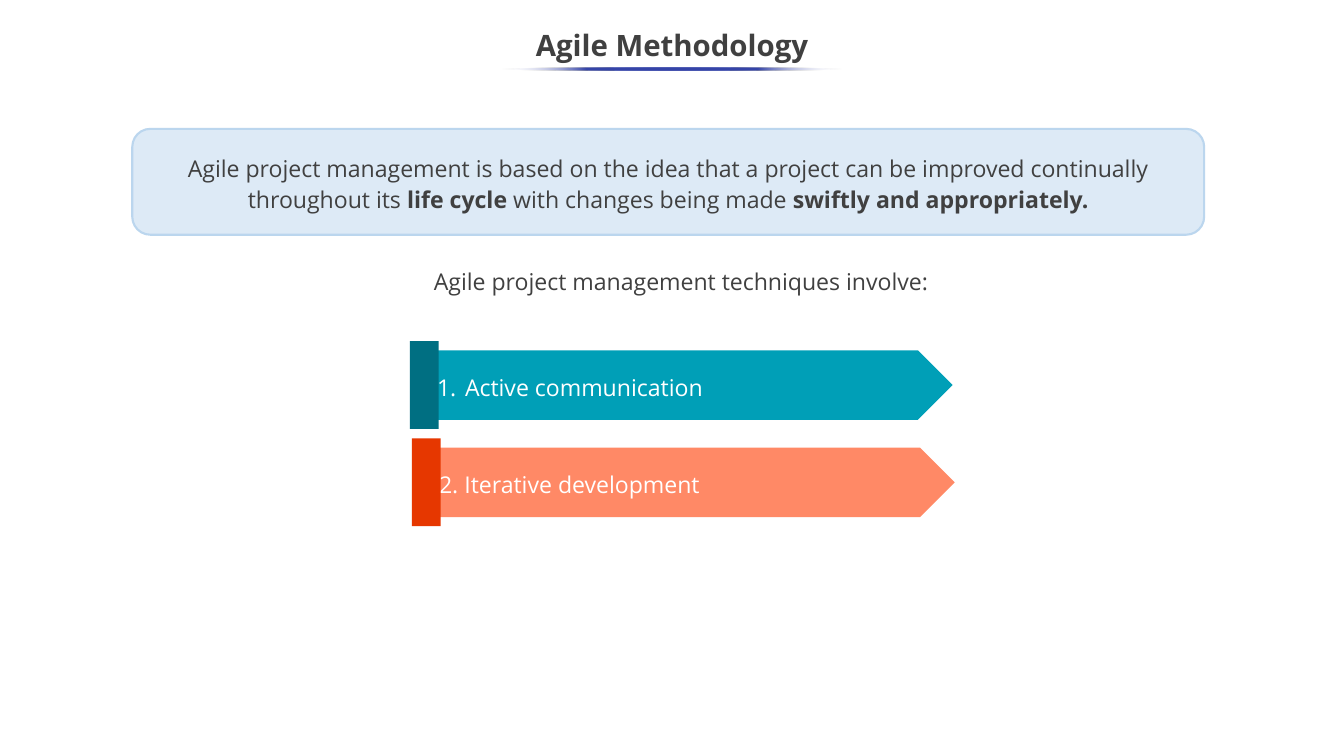
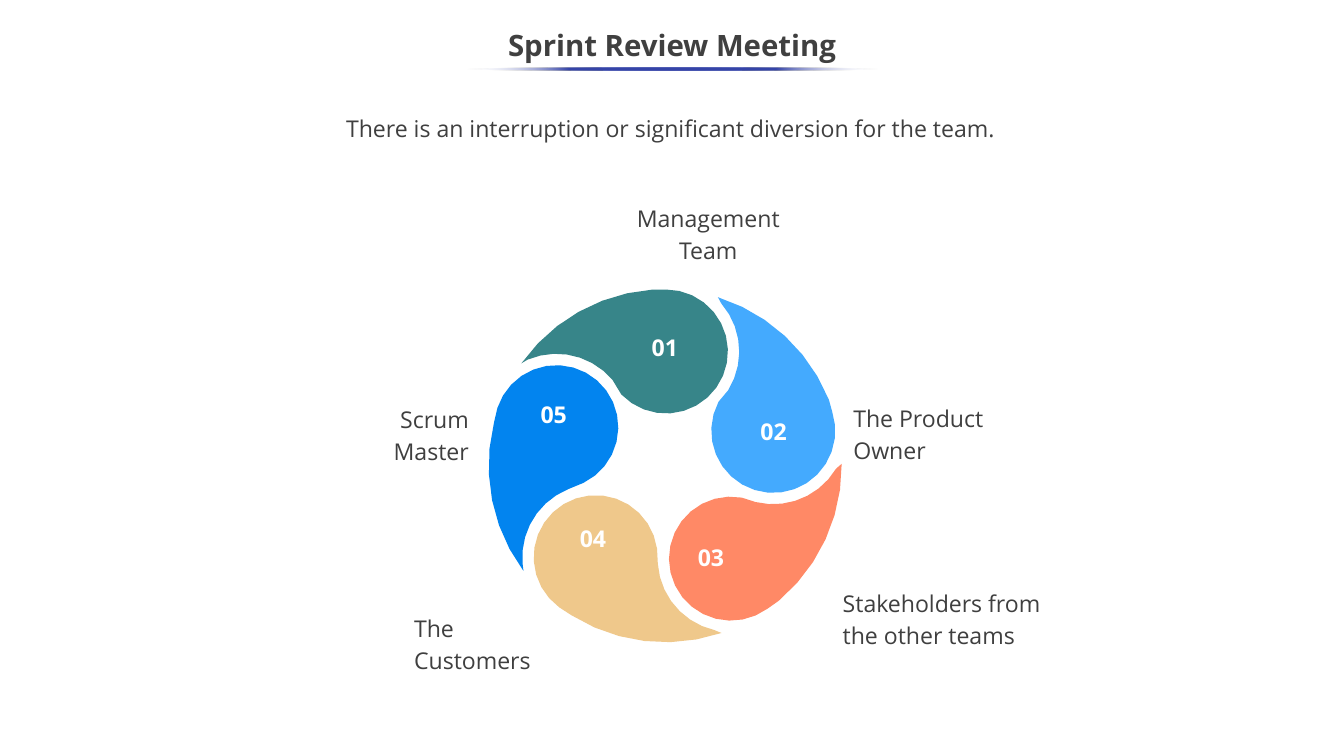
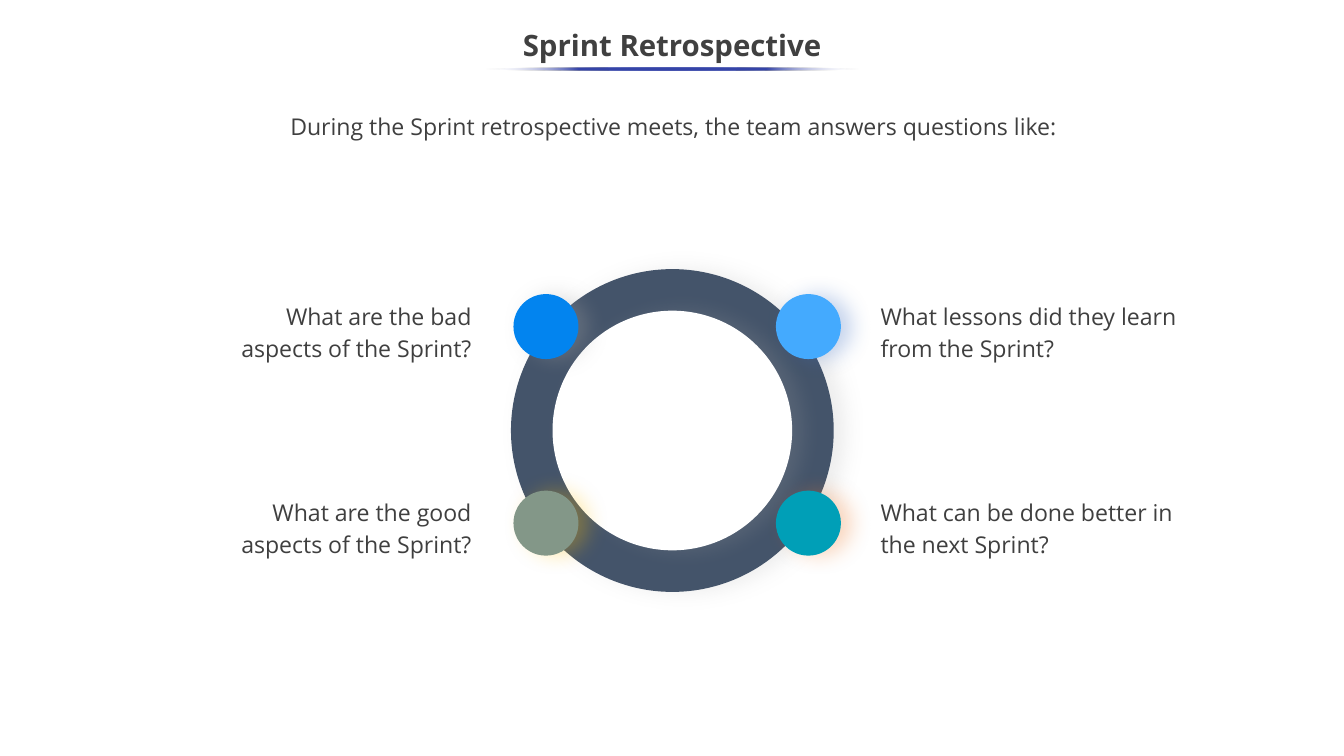
import math

import lxml.etree
import pptx
import pptx.dml.color
import pptx.enum.shapes
import pptx.enum.text
import pptx.oxml.ns
import pptx.util

SHAPE = pptx.enum.shapes.MSO_SHAPE
ALIGN = pptx.enum.text.PP_ALIGN
ANCHOR = pptx.enum.text.MSO_ANCHOR
FONT = "Open Sans"
COLS, ROWS = 177.8, 100  # square cells, a tenth of an inch wide
CELL = pptx.util.Inches(0.1)
COLORS = {
    "ink": "404040", "soft": "3F3F3F", "white": "FFFFFF", "rule": "3645A9",
    "pale": "DDEAF6", "edge": "BBD6EE",
    "teal": "009FB7", "pine": "006F82", "coral": "FF8966", "red": "E63700",
    "green": "378589", "sky": "44AAFE", "sand": "EFC88B", "blue": "0284EF",
    "slate": "44546A", "sage": "839788",
    "gray": "A5A5A5", "gold": "FFC000", "flame": "ED7D31", "royal": "4472C4",
}


def rgb(name):
    return pptx.dml.color.RGBColor.from_string(COLORS[name])


def cells(*nums):
    return [round(n * CELL) for n in nums]


def add(parent, tag, **attrs):
    node = lxml.etree.SubElement(parent, pptx.oxml.ns.qn(tag))
    for key, value in attrs.items():
        node.set(key, str(value))
    return node


def tint(parent, name, alpha=100):
    node = add(parent, "a:srgbClr", val=COLORS[name])
    if alpha < 100:
        add(node, "a:alpha", val=alpha * 1000)


def write(frame, text, size=22, color="soft", bold=False, align=ALIGN.LEFT,
          anchor=ANCHOR.TOP, space=1.15, left=0, hang=0, count=False):
    """Fill a frame; newlines split paragraphs and ** switches bold."""
    frame.word_wrap = True
    frame.vertical_anchor = anchor
    frame.margin_left = frame.margin_right = CELL
    frame.margin_top = frame.margin_bottom = CELL // 2
    for i, line in enumerate(text.split("\n")):
        para = frame.add_paragraph() if i else frame.paragraphs[0]
        para.alignment, para.line_spacing = align, space
        if left:
            props = para._p.get_or_add_pPr()
            props.set("marL", str(round(left * CELL)))
            props.set("indent", str(round(-hang * CELL)))
            if count:
                tint(add(props, "a:buClr"), color)
                add(props, "a:buFont", typeface="+mj-lt")
                add(props, "a:buAutoNum", type="arabicPeriod")
        for j, part in enumerate(line.split("**")):
            if part:
                run = para.add_run()
                run.text = part
                font = run.font
                font.name, font.size = FONT, pptx.util.Pt(size)
                font.bold = bold or j % 2 == 1
                font.color.rgb = rgb(color)


class Deck:
    def __init__(self):
        self.file = pptx.Presentation()
        self.file.slide_width, self.file.slide_height = cells(COLS, ROWS)
        self.slide = None

    def page(self, title, width):
        """Start a slide with a title and a fading rule beneath it."""
        self.slide = self.file.slides.add_slide(self.file.slide_layouts[5])
        head = self.slide.shapes.title
        head.left, head.top, head.width, head.height = cells(0, 2.5, COLS, 7.5)
        write(head.text_frame, title, size=28, color="ink", bold=True,
              space=0.9, align=ALIGN.CENTER, anchor=ANCHOR.MIDDLE)
        rule = self.shape(SHAPE.OVAL, 88.95 - width / 2, 8.9, width, 0.4)
        rule.fill.gradient()
        rule.fill.gradient_angle = 0
        stops = rule._element.spPr.find(".//" + pptx.oxml.ns.qn("a:gsLst"))
        for stop in list(stops):
            stops.remove(stop)
        for pos in range(0, 101, 25):
            stop = add(stops, "a:gs", pos=pos * 1000)
            if pos in (0, 100):
                tint(stop, "white", 0)
            else:
                tint(stop, "rule")

    def paint(self, item, fill, line=None):
        item.shadow.inherit = False
        if fill:
            item.fill.solid()
            item.fill.fore_color.rgb = rgb(fill)
        else:
            item.fill.background()
        if line:
            item.line.color.rgb = rgb(line)
            item.line.width = pptx.util.Pt(2)
        else:
            item.line.fill.background()
        return item

    def shape(self, kind, x, y, w, h, fill=None, line=None, adj=None):
        item = self.slide.shapes.add_shape(kind, *cells(x, y, w, h))
        if adj is not None:
            item.adjustments[0] = adj
        return self.paint(item, fill, line)

    def text(self, x, y, w, h, words, **style):
        box = self.slide.shapes.add_textbox(*cells(x, y, w, h))
        write(box.text_frame, words, **style)

    def lead(self, y, h, words):
        box = self.shape(SHAPE.ROUNDED_RECTANGLE, 14.1, y, 150, h, adj=0.12)
        write(box.text_frame, words, align=ALIGN.CENTER)

    def outline(self, points, fill):
        dots = [cells(*dot) for dot in points]
        path = self.slide.shapes.build_freeform(*dots[0])
        path.add_line_segments(dots[1:], close=True)
        self.paint(path.convert_to_shape(), fill)

    def glow(self, item, color, alpha):
        effects = item._element.spPr.find(pptx.oxml.ns.qn("a:effectLst"))
        shade = add(effects, "a:outerShdw", blurRad=pptx.util.Pt(20),
                    dist=pptx.util.Pt(10), dir=0, algn="l", rotWithShape=0)
        tint(shade, color, alpha)

    def arrow(self, x, y, fill, dark, words, **style):
        plate = self.shape(SHAPE.PENTAGON, x + 1.3, y + 1.2, 70.5, 9.2, fill)
        write(plate.text_frame, words, color="white", space=1.14,
              anchor=ANCHOR.MIDDLE, **style)
        self.shape(SHAPE.RECTANGLE, x, y, 3.8, 11.6, dark)


def arc(mid, radius, start, end, steps):
    turns = [math.radians(start + (end - start) * i / steps)
             for i in range(steps + 1)]
    return [(mid[0] + radius * math.cos(t), mid[1] + radius * math.sin(t))
            for t in turns]


def petal(mid, head, prior, turn):
    """Outer edge, round head, then a hollow around the petal before."""
    return (arc(mid, 23.35, turn + 215.4, turn + 266, 6)
            + arc(head, 8.2, turn - 90, turn + 136, 18)
            + arc(prior, 9.7, turn - 40, turn - 113, 7))


def agile(deck):
    deck.page("Agile Methodology", 45.1)
    card = deck.shape(SHAPE.ROUNDED_RECTANGLE, 17.5, 17.05, 141.8, 14,
                      "pale", "edge", 0.17)
    write(card.text_frame,
          "Agile project management is based on the idea that a project can be "
          "improved continually throughout its **life cycle **with changes "
          "being made **swiftly and appropriately.**",
          color="ink", space=1.14, align=ALIGN.CENTER, anchor=ANCHOR.MIDDLE)
    deck.text(41.5, 34.3, 97.2, 5, "Agile project management techniques involve:",
              color="ink", align=ALIGN.CENTER)
    deck.arrow(54.5, 58, "coral", "red", "2. Iterative development", left=1.3)
    deck.arrow(54.23, 45.13, "teal", "pine", "Active communication",
               left=5, hang=3.7, count=True)


def review(deck):
    deck.page("Sprint Review Meeting", 54.4)
    deck.lead(13.7, 10.5,
              "There is an interruption or significant diversion for the team. ")
    # Wheel of five petals: colour, middle of the head, corner of the number
    petals = [("green", (88.1, 46.5), (84.6, 43.1)),
              ("sky", (102.3, 57), (99, 54.2)),
              ("coral", (96.7, 73.9), (90.7, 70.9)),
              ("sand", (78.8, 73.7), (75.1, 68.3)),
              ("blue", (73.6, 56.5), (69.9, 51.9))]
    for i, (fill, head, spot) in enumerate(petals):
        prior = petals[i - 1][1]
        deck.outline(petal((88, 61.6), head, prior, 72 * i), fill)
    for i, (fill, head, spot) in enumerate(petals):
        deck.text(*spot, 6.7, 6.8, f"{i + 1:02}", color="white", bold=True,
                  align=ALIGN.CENTER)
    # Names around the wheel
    for x, y, w, words, align in [
            (81.3, 30.9, 24.8, "Management Team", ALIGN.CENTER),
            (53.8, 85.2, 22.8, "The Customers", ALIGN.LEFT),
            (50.3, 57.5, 12.7, "Scrum Master", ALIGN.RIGHT),
            (111.9, 57.4, 22.8, "The Product Owner", ALIGN.LEFT)]:
        deck.text(x, y, w, 4.5, words, align=align, anchor=ANCHOR.BOTTOM)
    panel = deck.shape(SHAPE.RECTANGLE, 110.5, 74.2, 40.9, 12.1, "white")
    write(panel.text_frame, "Stakeholders from\nthe other teams",
          anchor=ANCHOR.BOTTOM)


def retro(deck):
    deck.page("Sprint Retrospective", 49.5)
    deck.lead(13.4, 10.7, "During the Sprint retrospective meets, the team "
                          "answers questions like:")
    # Ring with a white centre
    ring = deck.shape(SHAPE.DONUT, 67.6, 35.6, 42.7, 42.7, "slate", adj=0.23)
    core = deck.shape(SHAPE.OVAL, 73.1, 41.1, 31.7, 31.7, "white")
    for item in (ring, core):
        deck.glow(item, "gray", 20)
    # Four dots with their questions
    left = (67.93, 25.75, 37.6, ALIGN.RIGHT)
    right = (102.65, 115.5, 42.8, ALIGN.LEFT)
    for side, y, fill, shade, words in [
            (left, 38.9, "blue", "gray", "What are the bad aspects of the Sprint?"),
            (right, 64.9, "teal", "flame",
             "What can be done better in the next Sprint?"),
            (left, 64.9, "sage", "gold", "What are the good aspects of the Sprint?"),
            (right, 38.9, "sky", "royal",
             "What lessons did they learn from the Sprint?")]:
        spot, x, w, align = side
        dot = deck.shape(SHAPE.OVAL, spot, y, 8.6, 8.6, fill)
        deck.glow(dot, shade, 31)
        deck.text(x, y + 0.05, w, 11.1, words, align=align)


def main():
    deck = Deck()
    for build in (agile, review, retro):
        build(deck)
    deck.file.save("out.pptx")


if __name__ == "__main__":
    main()
